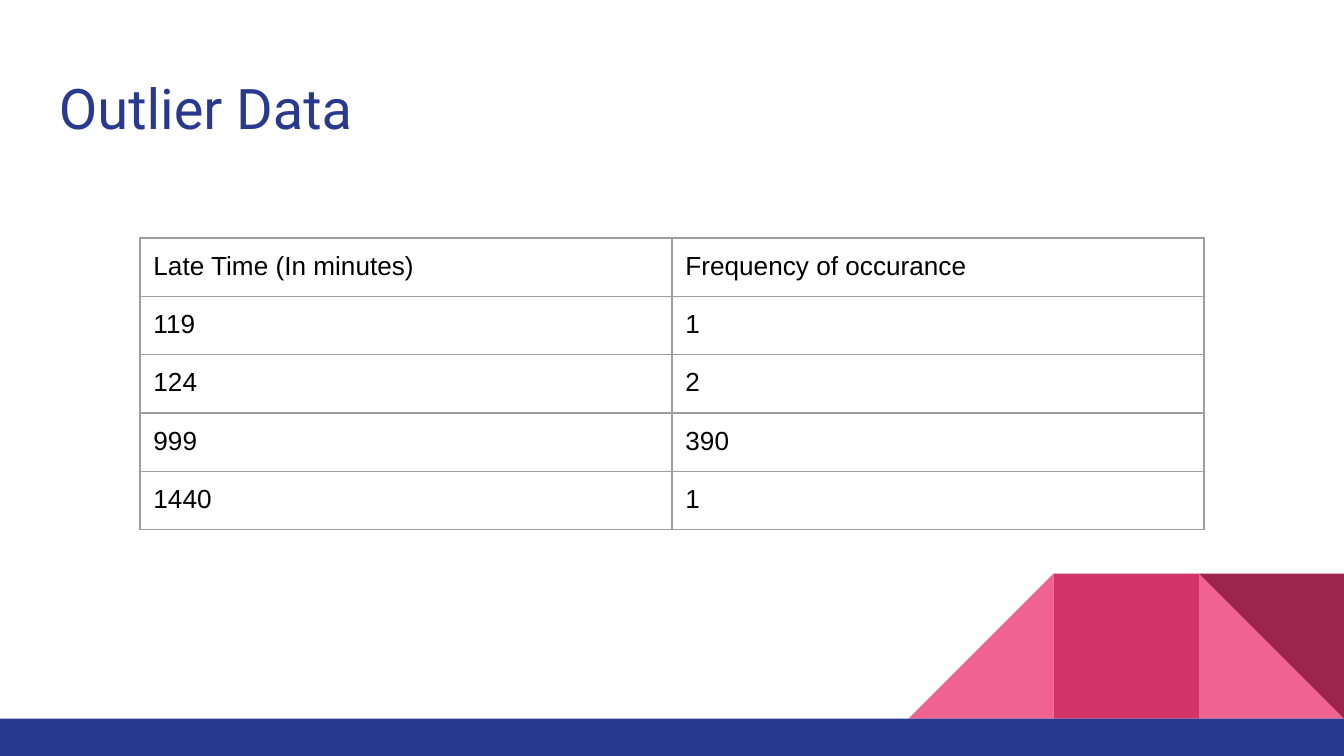
from dataclasses import dataclass

from lxml import etree
from pptx import Presentation
from pptx.dml.color import RGBColor
from pptx.enum.shapes import MSO_SHAPE
from pptx.enum.text import MSO_ANCHOR
from pptx.oxml.ns import qn
from pptx.util import Pt

RECT = MSO_SHAPE.RECTANGLE
TRIANGLE = MSO_SHAPE.RIGHT_TRIANGLE
TOP = MSO_ANCHOR.TOP

COLORS = {
    "navy": "2A3990",
    "pink": "F06292",
    "rose": "D23369",
    "wine": "9C254D",
    "grid": "9E9E9E",
    "text": "000000",
}

WIDTH, HEIGHT = 720, 405
TILE = 77.75
BAND_TOP = 385
INSET = 7.2
ROW_HEIGHT = 30
COL_WIDTH = 285

ROWS = [
    ("Late Time (In minutes)", "Frequency of occurance"),
    ("119", "1"),
    ("124", "2"),
    ("999", "390"),
    ("1440", "1"),
]


@dataclass
class Tile:
    kind: MSO_SHAPE
    column: int  # counted from the right edge, starting at 1
    color: str
    rotation: int = 0


TILES = [
    Tile(TRIANGLE, 1, "pink"),
    Tile(TRIANGLE, 3, "pink", 270),
    Tile(RECT, 2, "rose"),
    Tile(TRIANGLE, 1, "wine", 180),
]


def rgb(name: str) -> RGBColor:
    return RGBColor.from_string(COLORS[name])


def write(tf, text: str, *, font: str, size: float, color: str) -> None:
    r = tf.paragraphs[0].add_run()
    r.text = text
    r.font.name = font
    r.font.size = Pt(size)
    r.font.color.rgb = rgb(color)


def set_insets(box) -> None:
    box.margin_left = box.margin_right = Pt(INSET)
    box.margin_top = box.margin_bottom = Pt(INSET)
    box.vertical_anchor = TOP


def add_block(s, kind: MSO_SHAPE, left: float, top: float, width: float,
              height: float, color: str, rotation: int = 0) -> None:
    sp = s.shapes.add_shape(kind, Pt(left), Pt(top), Pt(width), Pt(height))
    sp.shadow.inherit = False
    sp.fill.solid()
    sp.fill.fore_color.rgb = rgb(color)
    sp.line.fill.background()
    sp.rotation = rotation


def add_borders(cell, color: str, width: float) -> None:
    tc_pr = cell._tc.get_or_add_tcPr()
    for i, side in enumerate(("lnL", "lnR", "lnT", "lnB")):
        ln = etree.Element(qn(f"a:{side}"), w=str(Pt(width)))
        fill = etree.SubElement(ln, qn("a:solidFill"))
        etree.SubElement(fill, qn("a:srgbClr"), val=COLORS[color])
        tc_pr.insert(i, ln)  # borders come before the cell fill


def add_data_table(s, left: float, top: float) -> None:
    n_rows, n_cols = len(ROWS), len(ROWS[0])
    table = s.shapes.add_table(n_rows, n_cols, Pt(left), Pt(top),
                               Pt(n_cols * COL_WIDTH),
                               Pt(n_rows * ROW_HEIGHT)).table
    table.first_row = table.horz_banding = False
    for i, values in enumerate(ROWS):
        table.rows[i].height = Pt(ROW_HEIGHT)
        for j, value in enumerate(values):
            cell = table.cell(i, j)
            cell.fill.background()
            set_insets(cell)
            write(cell.text_frame, value, font="Arial", size=14, color="text")
            add_borders(cell, "grid", 0.75)


def main() -> None:
    prs = Presentation()
    prs.slide_width, prs.slide_height = Pt(WIDTH), Pt(HEIGHT)
    s = prs.slides.add_slide(prs.slide_layouts[6])

    # Corner tiles and bottom band
    for tile in TILES:
        add_block(s, tile.kind, WIDTH - tile.column * TILE, BAND_TOP - TILE,
                  TILE, TILE, tile.color, tile.rotation)
    add_block(s, RECT, 0, BAND_TOP, WIDTH, HEIGHT - BAND_TOP, "navy")

    # Title
    tf = s.shapes.add_textbox(Pt(24.5), Pt(32.4), Pt(671), Pt(47.5)).text_frame
    tf.word_wrap = True
    set_insets(tf)
    write(tf, "Outlier Data", font="Roboto", size=30, color="navy")

    # Outlier table, centred across the slide
    add_data_table(s, (WIDTH - len(ROWS[0]) * COL_WIDTH) / 2, 127.5)

    prs.save("out.pptx")


if __name__ == "__main__":
    main()
